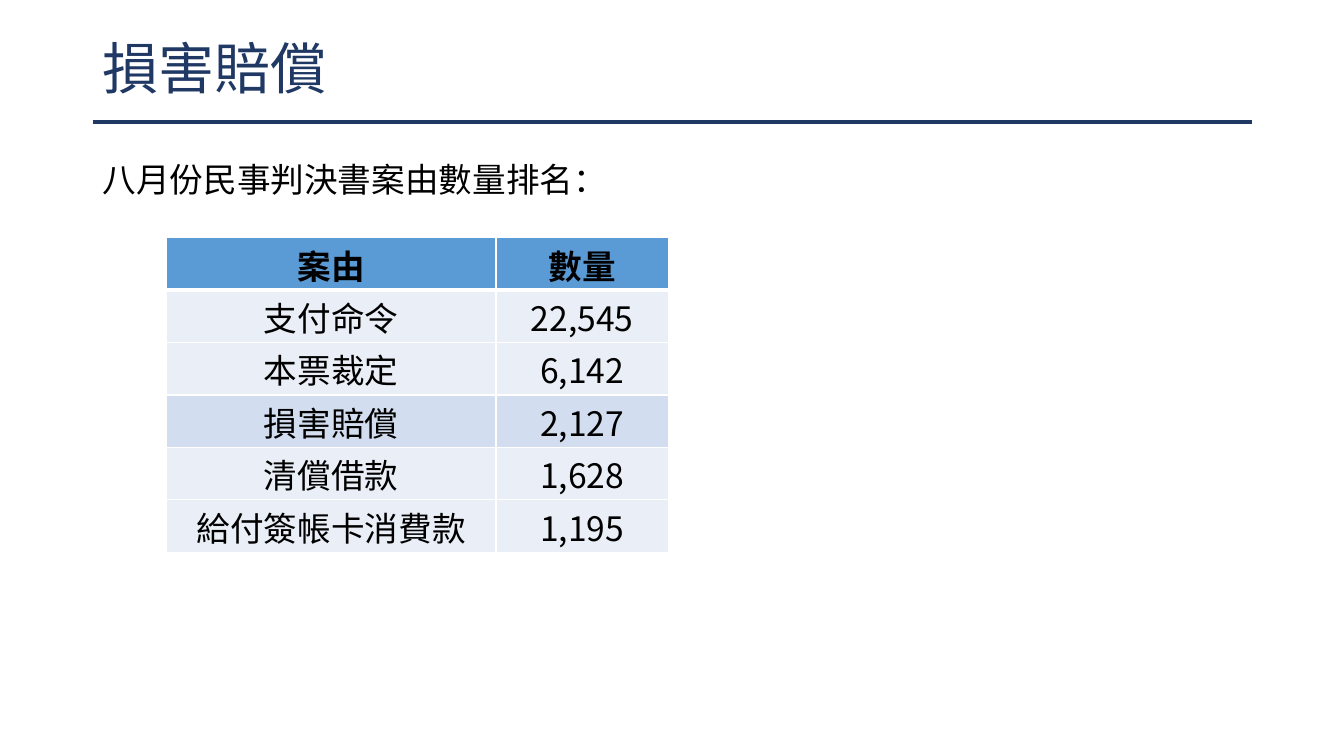
from lxml import etree
from pptx import Presentation
from pptx.dml.color import RGBColor
from pptx.enum.shapes import MSO_CONNECTOR
from pptx.enum.text import MSO_ANCHOR, MSO_AUTO_SIZE, PP_ALIGN
from pptx.oxml.ns import qn
from pptx.util import Inches, Pt

LEFT, CENTER = PP_ALIGN.LEFT, PP_ALIGN.CENTER
MIDDLE = MSO_ANCHOR.MIDDLE
FIXED = MSO_AUTO_SIZE.NONE
STRAIGHT = MSO_CONNECTOR.STRAIGHT

FONT = "Noto Sans CJK SC"
COLORS = {"navy": "203864", "black": "000000", "white": "FFFFFF",
          "head": "5B9BD5", "row": "EAEFF7", "focus": "D2DEEF"}
CASES = [("案由", "數量"), ("支付命令", "22,545"), ("本票裁定", "6,142"),
         ("損害賠償", "2,127"), ("清償借款", "1,628"), ("給付簽帳卡消費款", "1,195")]
FOCUS = 3


def color(name):
    return RGBColor.from_string(COLORS[name])


def apply(item, values):
    for name, value in values.items():
        setattr(item, name, value)


class Deck:
    def __init__(self):
        self.prs = Presentation()
        apply(self.prs, {"slide_width": Inches(13.33), "slide_height": Inches(7.5)})
        self.slide = self.prs.slides.add_slide(self.prs.slide_layouts[5])

    def label(self, para, text, size, tint, bold=False, align=LEFT):
        para.alignment = align
        run = para.add_run()
        run.text = text
        run.font.color.rgb = color(tint)
        apply(run.font, {"name": FONT, "size": Pt(size), "bold": bold})
        latin = run.font._element.find(qn("a:latin"))
        latin.addnext(latin.makeelement(qn("a:ea"), {"typeface": FONT}))

    def title(self, text, left, top, width, height):
        shape = self.slide.shapes.title
        apply(shape, {"left": Inches(left), "top": Inches(top),
                      "width": Inches(width), "height": Inches(height)})
        frame = shape.text_frame
        apply(frame, {"vertical_anchor": MIDDLE, "auto_size": FIXED, "word_wrap": True})
        para = frame.paragraphs[0]
        para.line_spacing = 0.9
        self.label(para, text, 40, "navy")

    def rule(self, left, right, top):
        line = self.slide.shapes.add_connector(
            STRAIGHT, Inches(left), Inches(top), Inches(right), Inches(top))
        line.line.color.rgb = color("navy")
        line.line.width = Pt(2.25)
        etree.SubElement(line._element.spPr, qn("a:effectLst"))

    def text(self, text, left, top, width, height):
        box = self.slide.shapes.add_textbox(
            Inches(left), Inches(top), Inches(width), Inches(height))
        box.text_frame.word_wrap = True
        self.label(box.text_frame.paragraphs[0], text, 24, "black")

    def border(self, cell, widths):
        """Draw white cell edges; widths maps L, R, T, B, in that order, to points."""
        props = cell._tc.get_or_add_tcPr()
        for spot, (side, width) in enumerate(widths.items()):
            edge = props.makeelement(qn(f"a:ln{side}"), {"w": str(Pt(width))})
            fill = etree.SubElement(edge, qn("a:solidFill"))
            etree.SubElement(fill, qn("a:srgbClr"), val=COLORS["white"])
            props.insert(spot, edge)

    def table(self, rows, left, top, widths, height):
        frame = self.slide.shapes.add_table(
            len(rows), len(widths), Inches(left), Inches(top),
            Inches(sum(widths)), Inches(height * len(rows)))
        grid = frame.table
        grid.horz_banding = False
        for col, width in zip(grid.columns, widths):
            col.width = Inches(width)
        for r, row in enumerate(rows):
            grid.rows[r].height = Inches(height)
            shade = {0: "head", FOCUS: "focus"}.get(r, "row")
            for c, text in enumerate(row):
                cell = grid.cell(r, c)
                apply(cell, {"margin_left": Inches(0.01), "margin_right": Inches(0.01),
                             "margin_top": Inches(0.01), "margin_bottom": 0,
                             "vertical_anchor": MIDDLE})
                cell.fill.solid()
                cell.fill.fore_color.rgb = color(shade)
                self.border(cell, {"L": 1, "R": 1, "T": 3 if r == 1 else 1,
                                   "B": 3 if r == 0 else 1})
                self.label(cell.text_frame.paragraphs[0], text, 24, "black",
                           r == 0, CENTER)


def main():
    deck = Deck()
    deck.rule(0.92, 12.42, 1.21)
    deck.title("損害賠償", 0.92, 0.21, 11.5, 0.99)
    deck.table(CASES, 1.65, 2.36, (3.27, 1.71), 0.52)
    deck.text("八月份民事判決書案由數量排名：", 0.92, 1.53, 5.25, 0.5)
    deck.prs.save("out.pptx")


if __name__ == "__main__":
    main()
